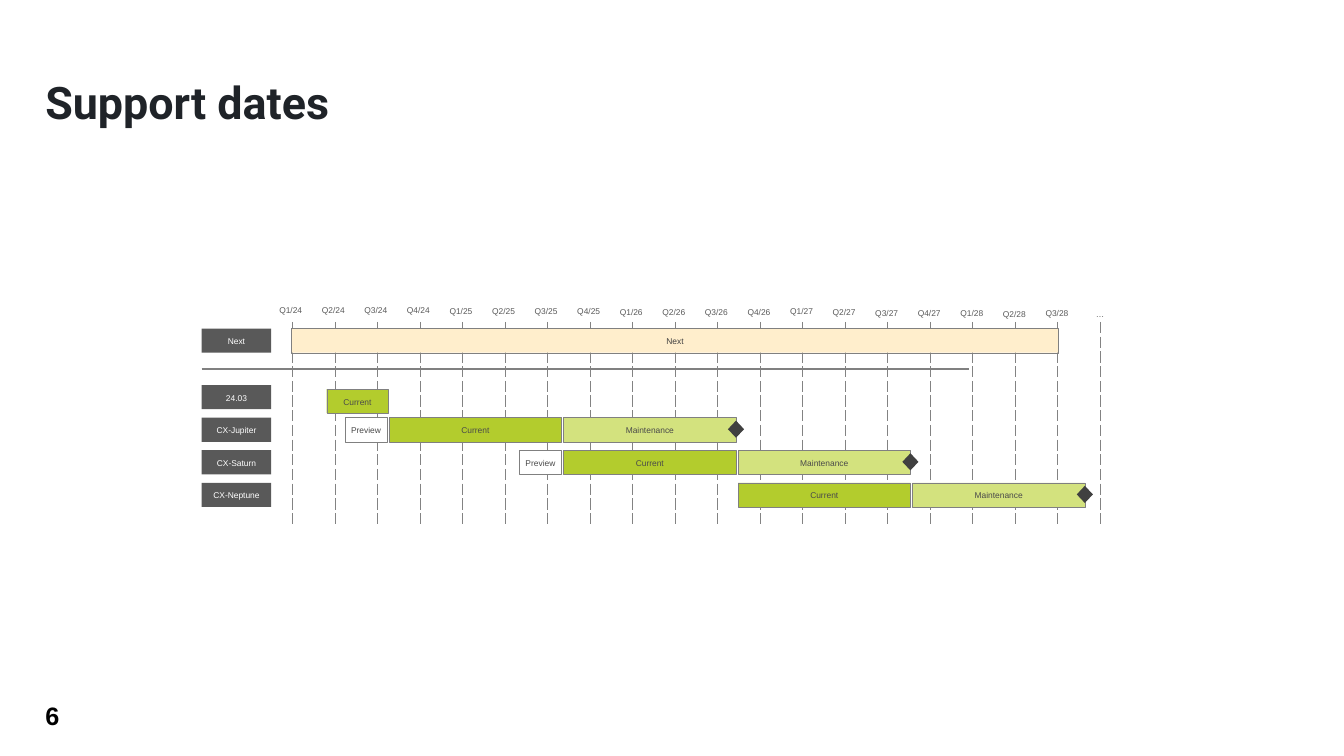
from lxml import etree
from pptx import Presentation
from pptx.dml.color import RGBColor
from pptx.enum.shapes import MSO_CONNECTOR, MSO_SHAPE
from pptx.enum.text import MSO_ANCHOR, MSO_AUTO_SIZE, PP_ALIGN
from pptx.oxml.ns import qn
from pptx.util import Inches, Pt

RECTANGLE = MSO_SHAPE.RECTANGLE
DIAMOND = MSO_SHAPE.DIAMOND
STRAIGHT = MSO_CONNECTOR.STRAIGHT
TOP = MSO_ANCHOR.TOP
MIDDLE = MSO_ANCHOR.MIDDLE
FIT_TEXT = MSO_AUTO_SIZE.SHAPE_TO_FIT_TEXT
CENTER = PP_ALIGN.CENTER

LIGHT_TEXT = "FFFFFF"
LABEL_FILL = "595959"
OUTLINE = "808080"
CURRENT = "B3CC2D"
MAINTENANCE = "D3E27E"
PREVIEW = "FFFFFF"
PHASE_TEXT = "4A4A4A"

LEFT = 2
BAR_HEIGHT = 0.24
NEXT_TOP = 3.26
RELEASE_TOP = 3.82
RELEASE_PITCH = 0.97 / 3
PHASE_START = 3.86
PHASE_PITCH = 1.73
PHASE_WIDTH = 1.71
QUARTERS = 20
GRID_WIDTH = 9.34
LABEL_COLUMN = 0.9
RELEASES = ["24.03", "CX-Jupiter", "CX-Saturn", "CX-Neptune"]
DATE_TOPS = [3.02] * 4 + [3.03] * 4 + [3.04] * 4 + [3.03, 3.04, 3.05, 3.05, 3.05, 3.06, 3.05]


def color(value):
    return RGBColor.from_string(value)


def box(left, top, width, height):
    return [Inches(length) for length in (left, top, width, height)]


def write(frame, text, size, text_color, font="Arial", bold=False, spacing=None, after=None):
    frame.margin_left = frame.margin_right = frame.margin_top = frame.margin_bottom = 0
    paragraph = frame.paragraphs[0]
    paragraph.line_spacing = spacing
    paragraph.space_before = Pt(0)
    if after is not None:
        paragraph.space_after = Pt(after)
    run = paragraph.add_run()
    run.text = text
    run.font.size = Pt(size)
    run.font.name = font
    run.font.bold = bold
    run.font.color.rgb = color(text_color)
    return paragraph


def add_text(slide, place, text, size, text_color, wrap=False, anchor=TOP, grow=False, **style):
    frame = slide.shapes.add_textbox(*box(*place)).text_frame
    frame.word_wrap = wrap
    frame.vertical_anchor = anchor
    if grow:
        frame.auto_size = FIT_TEXT
    write(frame, text, size, text_color, **style)


def add_block(shapes, kind, place, fill, outline=None):
    block = shapes.add_shape(kind, *box(*place))
    block.shadow.inherit = False
    block.fill.solid()
    block.fill.fore_color.rgb = color(fill)
    if outline:
        block.line.color.rgb = color(outline)
        block.line.width = Pt(0.25)
    else:
        block.line.fill.background()
    return block


def add_bar(shapes, left, top, width, text, fill, text_color, outline=None):
    bar = add_block(shapes, RECTANGLE, (left, top, width, BAR_HEIGHT), fill, outline)
    frame = bar.text_frame
    frame.word_wrap = True
    frame.vertical_anchor = MIDDLE
    write(frame, text, 6, text_color, spacing=1.1, after=6).alignment = CENTER


def add_phase(slide, left, top, width, text, fill):
    add_bar(slide.shapes, left, top, width, text, fill, PHASE_TEXT, OUTLINE)


def add_dashed_border(cell, side):
    border = etree.SubElement(cell._tc.get_or_add_tcPr(), qn(f"a:{side}"), w=str(Pt(0.5)))
    fill = etree.SubElement(border, qn("a:solidFill"))
    etree.SubElement(fill, qn("a:srgbClr"), val="838383")
    etree.SubElement(border, qn("a:prstDash"), val="dash")


def add_quarter_grid(slide):
    place = box(LEFT, 3.2, GRID_WIDTH, 2)
    grid = slide.shapes.add_table(1, QUARTERS + 1, *place).table
    grid.first_row = False
    grid.horz_banding = False
    for index, column in enumerate(grid.columns):
        quarter_width = (GRID_WIDTH - LABEL_COLUMN) / QUARTERS
        column.width = Inches(quarter_width if index else LABEL_COLUMN)
        cell = grid.cell(0, index)
        if index > 0:
            add_dashed_border(cell, "lnL")
        if index < QUARTERS:
            add_dashed_border(cell, "lnR")
        cell.fill.background()


def add_dates(slide):
    style = dict(size=6, text_color=LABEL_FILL, grow=True, spacing=1.1, after=3)
    pitch = 7.6 / (len(DATE_TOPS) - 1)
    for index, top in enumerate(DATE_TOPS):
        date = f"Q{index % 4 + 1}/{24 + index // 4}"
        add_text(slide, (2.77 + pitch * index, top, 0.23, 0.1), date, **style)
    add_text(slide, (10.87, 3.06, 0.08, 0.1), "…", wrap=True, **style)


def add_separator(slide):
    separator = slide.shapes.add_connector(
        STRAIGHT, Inches(LEFT), Inches(3.66), Inches(9.61), Inches(3.66))
    separator.line.color.rgb = color(OUTLINE)
    separator.line.width = Pt(1)
    etree.SubElement(separator._element.spPr, qn("a:effectLst"))


def add_releases(slide):
    labels = slide.shapes.add_group_shape().shapes
    for index, release in enumerate(RELEASES):
        top = RELEASE_TOP + RELEASE_PITCH * index
        add_bar(labels, LEFT, top, 0.69, release, LABEL_FILL, LIGHT_TEXT)
        if index == 0:
            add_phase(slide, 3.24, top + 0.04, 0.61, "Current", CURRENT)
            continue
        start = PHASE_START + PHASE_PITCH * (index - 1)
        support_start = start + PHASE_PITCH
        support_end = support_start + PHASE_WIDTH
        if release != "CX-Neptune":
            add_phase(slide, start - 0.44, top, 0.42, "Preview", PREVIEW)
        add_phase(slide, start, top, PHASE_WIDTH, "Current", CURRENT)
        add_phase(slide, support_start, top, PHASE_WIDTH, "Maintenance", MAINTENANCE)
        add_block(slide.shapes, DIAMOND, (support_end - 0.08, top + 0.03, 0.16, 0.17), "404040")


def main():
    deck = Presentation()
    deck.slide_width = Inches(13.33)
    deck.slide_height = Inches(7.5)
    slide = deck.slides.add_slide(deck.slide_layouts[6])
    add_text(slide, (0.45, 0.8, 10.95, 0.47), "Support dates", 32, "1F2328",
             wrap=True, font="Roboto", bold=True, spacing=0.9)
    add_text(slide, (0.45, 6.94, 0.43, 0.31), "6", 18, "000000", anchor=MIDDLE, bold=True)
    add_quarter_grid(slide)
    add_bar(slide.shapes, LEFT, NEXT_TOP, 0.69, "Next", LABEL_FILL, LIGHT_TEXT)
    add_separator(slide)
    add_bar(slide.shapes, 2.89, NEXT_TOP, 7.61, "Next", "FFEECC", "404040", OUTLINE)
    add_dates(slide)
    add_releases(slide)
    deck.save("out.pptx")


if __name__ == "__main__":
    main()
